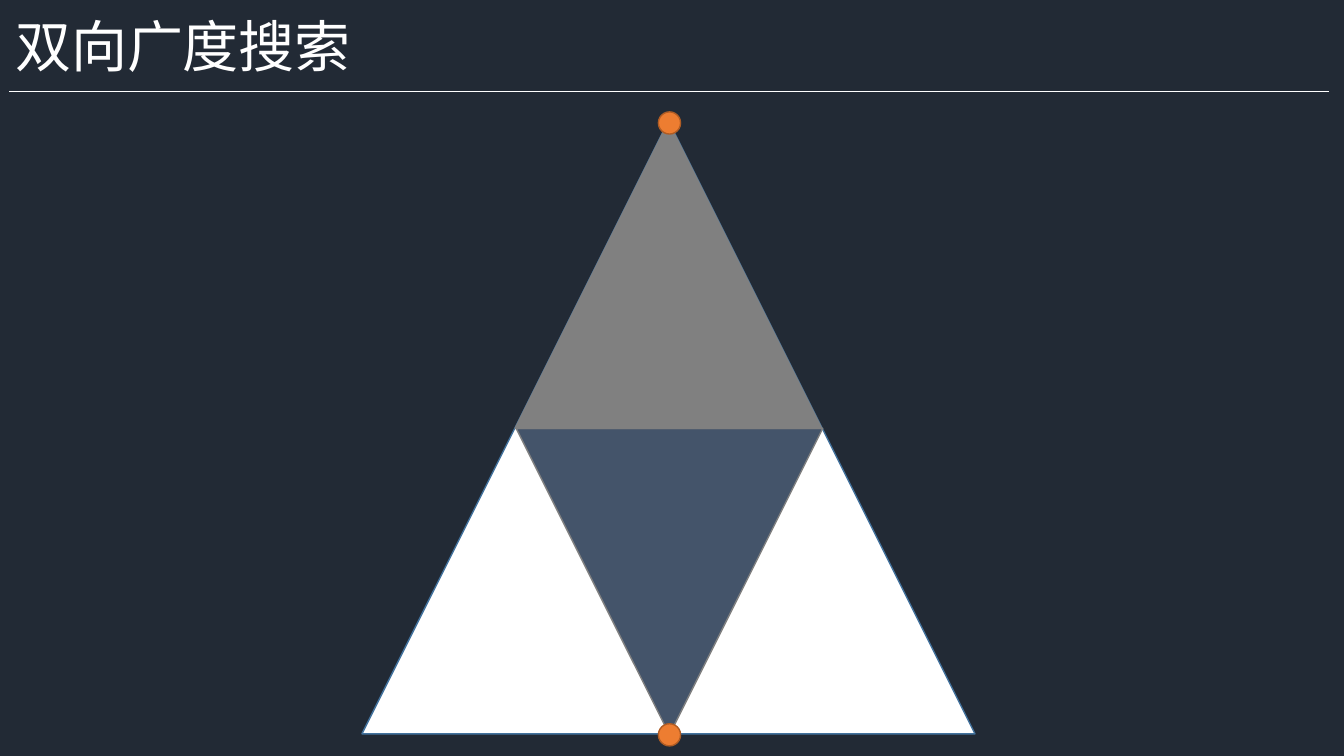
import lxml.etree
import pptx
import pptx.dml.color
import pptx.enum.shapes
import pptx.enum.text
import pptx.oxml.ns
import pptx.util

PX = 9144
FONT = "Noto Sans CJK SC"
COLORS = {
    "background": "222A35",
    "white": "FFFFFF",
    "full_search_edge": "43739E",
    "forward": "808080",
    "backward": "44546A",
    "node": "ED7D31",
    "node_edge": "AF5C24",
}
TRIANGLE = pptx.enum.shapes.MSO_SHAPE.ISOSCELES_TRIANGLE
CIRCLE = pptx.enum.shapes.MSO_SHAPE.OVAL


def px(value):
    return pptx.util.Emu(value * PX)


def color(name):
    return pptx.dml.color.RGBColor.from_string(COLORS[name])


def set_title(slide, text, left, top, width, height):
    title = slide.shapes.title
    title.left, title.top = px(left), px(top)
    title.width, title.height = px(width), px(height)
    frame = title.text_frame
    frame.text = text
    frame.word_wrap = True
    frame.auto_size = pptx.enum.text.MSO_AUTO_SIZE.SHAPE_TO_FIT_TEXT
    frame.vertical_anchor = pptx.enum.text.MSO_ANCHOR.TOP
    paragraph = frame.paragraphs[0]
    paragraph.alignment = pptx.enum.text.PP_ALIGN.LEFT
    paragraph.line_spacing = 0.9
    paragraph.font.size = pptx.util.Pt(40)
    paragraph.font.color.rgb = color("white")
    paragraph.font.name = FONT
    latin = paragraph._p.find(".//" + pptx.oxml.ns.qn("a:latin"))
    east_asian = lxml.etree.SubElement(latin.getparent(), pptx.oxml.ns.qn("a:ea"))
    east_asian.set("typeface", FONT)


def add_rule(slide, left, right, y):
    rule = slide.shapes.add_connector(
        pptx.enum.shapes.MSO_CONNECTOR.STRAIGHT, px(left), px(y), px(right), px(y)
    )
    rule.line.color.rgb = color("white")
    rule.line.width = pptx.util.Pt(1)
    properties = rule._element.spPr
    lxml.etree.SubElement(properties, pptx.oxml.ns.qn("a:effectLst"))


def add_figure(slide, kind, left, top, size, fill, edge, rotation=0):
    shape = slide.shapes.add_shape(kind, px(left), px(top), px(size), px(size))
    shape.shadow.inherit = False
    shape.rotation = rotation
    shape.fill.solid()
    shape.fill.fore_color.rgb = color(fill)
    shape.line.color.rgb = color(edge)
    shape.line.width = pptx.util.Pt(1)


def main():
    presentation = pptx.Presentation()
    presentation.slide_width, presentation.slide_height = px(1333), px(750)
    slide = presentation.slides.add_slide(presentation.slide_layouts[5])
    slide.background.fill.solid()
    slide.background.fill.fore_color.rgb = color("background")

    set_title(slide, "双向广度搜索", 5, 14, 1179, 77)
    add_rule(slide, 9, 1318, 91)

    add_figure(slide, TRIANGLE, 359, 120, 608, "white", "full_search_edge")
    add_figure(slide, TRIANGLE, 512, 425, 304, "backward", "forward", rotation=180)
    add_figure(slide, TRIANGLE, 511, 121, 304, "forward", "forward")
    for node_top in (111, 718):
        add_figure(slide, CIRCLE, 653, node_top, 22, "node", "node_edge")

    presentation.save("out.pptx")


if __name__ == "__main__":
    main()
